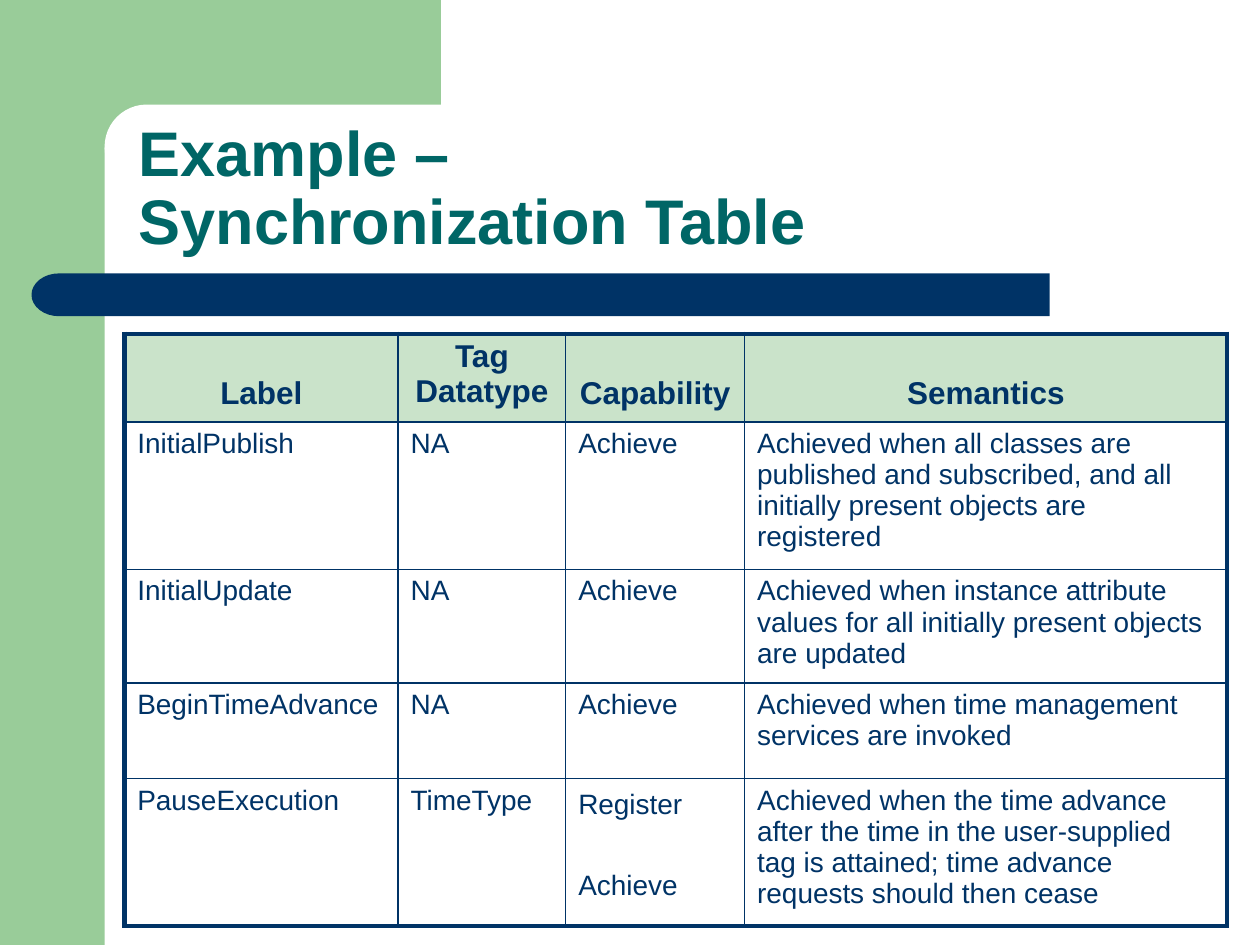
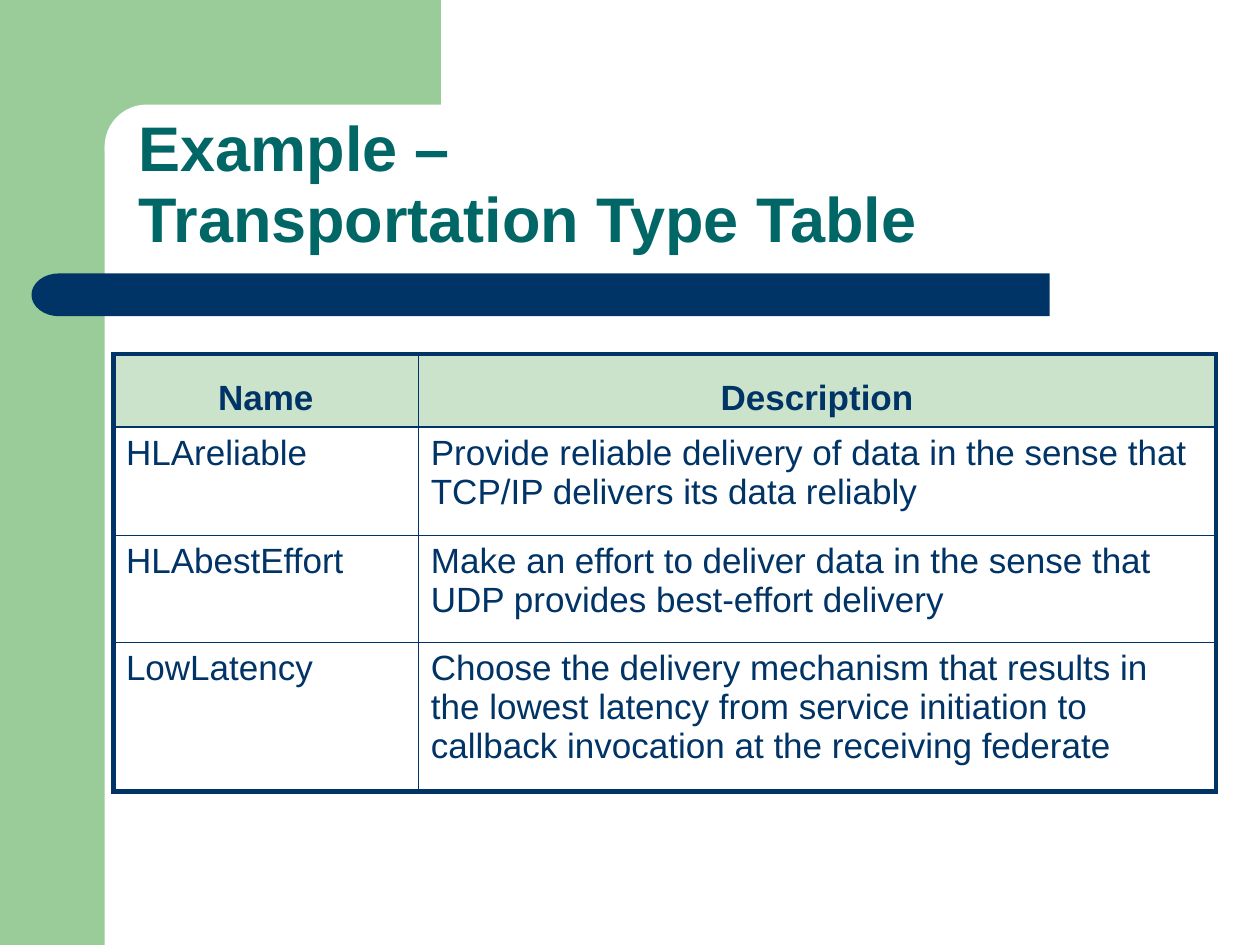
from dataclasses import dataclass
from math import cos, pi, sin

from lxml.etree import SubElement
from pptx import Presentation
from pptx.dml.color import RGBColor
from pptx.enum.shapes import MSO_SHAPE
from pptx.enum.text import MSO_ANCHOR, MSO_AUTO_SIZE, PP_ALIGN
from pptx.oxml.ns import qn
from pptx.util import Inches, Pt


@dataclass(frozen=True)
class Theme:
    font: str = "Arial"
    side: str = "99CC99"
    card: str = "FFFFFF"
    navy: str = "003366"
    title: str = "006666"
    header: str = "CAE3CA"
    title_size: float = 36
    outer_line: float = 3
    inner_line: float = 1


THEME = Theme()

SLIDES = [
    {
        "title": ["Example –", "Synchronization Table"],
        "title_width": 5.36, "title_inset": 0.08, "title_leading": 38.9,
        "at": (0.99, 2.65),
        "columns": [2.17, 1.33, 1.42, 3.83],
        "heights": [0.7, 1.17, 0.9, 0.76, 1.17],
        "header_size": 18, "body_size": 16,
        "header_insets": [0.33, 0.04, 0.33, 0.33],
        "rows": [
            ["Label", "Tag Datatype", "Capability", "Semantics"],
            ["InitialPublish", "NA", "Achieve",
             "Achieved when all classes are published and subscribed, "
             "and all initially present objects are registered"],
            ["InitialUpdate", "NA", "Achieve",
             "Achieved when instance attribute values for all initially "
             "present objects are updated"],
            ["BeginTimeAdvance", "NA", "Achieve",
             "Achieved when time management services are invoked"],
            ["PauseExecution", "TimeType", ["Register", "Achieve"],
             "Achieved when the time advance after the time in the "
             "user-supplied tag is attained; time advance requests "
             "should then cease"],
        ],
    },
    {
        "title": ["Example –", "Transportation Type Table"],
        "title_width": 6.3, "title_inset": 0.01, "title_leading": 41,
        "at": (0.9, 2.81),
        "columns": [2.42, 6.33],
        "heights": [0.58, 0.86, 0.85, 1.18],
        "header_size": 20, "body_size": 20,
        "header_insets": [0.2, 0.2],
        "rows": [
            ["Name", "Description"],
            ["HLAreliable",
             "Provide reliable delivery of data in the sense that "
             "TCP/IP delivers its data reliably"],
            ["HLAbestEffort",
             "Make an effort to deliver data in the sense that "
             "UDP provides best-effort delivery"],
            ["LowLatency",
             "Choose the delivery mechanism that results in the lowest "
             "latency from service initiation to callback invocation "
             "at the receiving federate"],
        ],
    },
]

SIDE_OUTLINE = [(0, 0), (3.5, 0), (3.5, 1.17), (0.83, 1.17), (0.83, 7.5), (0, 7.5)]
CARD = (0.83, 0.83, 5.58, 0.67)
BAND_TOP, BAND_BOTTOM, BAND_RIGHT = 2.17, 2.51, 8.33
CAP_CENTER, CAP_WIDTH, CAP_STEPS = 0.47, 0.22, 16
LIST_LEADING = 23.2


def band_outline():
    middle, half = (BAND_TOP + BAND_BOTTOM) / 2, (BAND_BOTTOM - BAND_TOP) / 2
    angles = [pi * step / CAP_STEPS for step in range(CAP_STEPS + 1)]
    cap = [(CAP_CENTER - CAP_WIDTH * sin(a), middle + half * cos(a)) for a in angles]
    return cap + [(BAND_RIGHT, BAND_TOP), (BAND_RIGHT, BAND_BOTTOM)]


def paint(shape, color):
    shape.shadow.inherit = False
    shape.fill.solid()
    shape.fill.fore_color.rgb = RGBColor.from_string(color)
    shape.line.fill.background()
    return shape


def add_outline(slide, points, color):
    corners = [(Inches(x), Inches(y)) for x, y in points]
    builder = slide.shapes.build_freeform(*corners[0])
    builder.add_line_segments(corners[1:], close=True)
    return paint(builder.convert_to_shape(), color)


def decorate_layout(layout, slide):
    for placeholder in list(layout.placeholders)[1:]:
        layout.shapes.element.remove(placeholder.element)
    side = add_outline(slide, SIDE_OUTLINE, THEME.side)
    card = slide.shapes.add_shape(MSO_SHAPE.ROUNDED_RECTANGLE, *map(Inches, CARD))
    card.adjustments[0] = 0.5
    paint(card, THEME.card)
    band = add_outline(slide, band_outline(), THEME.navy)
    for position, part in enumerate((side, card, band), start=2):
        layout.shapes.element.insert(position, part.element)


def add_text(paragraph, text, size, color, bold):
    run = paragraph.add_run()
    run.text = text
    run.font.name = THEME.font
    run.font.size = Pt(size)
    run.font.bold = bold
    run.font.color.rgb = RGBColor.from_string(color)


def paragraphs(frame, count):
    return [frame.paragraphs[0]] + [frame.add_paragraph() for _ in range(count - 1)]


def set_title(title, content):
    title.left, title.top = Inches(1.1), Inches(0.88)
    title.width, title.height = Inches(content["title_width"]), Inches(1.17)
    frame = title.text_frame
    frame.auto_size = MSO_AUTO_SIZE.NONE
    frame.word_wrap = True
    frame.vertical_anchor = MSO_ANCHOR.TOP
    frame.margin_left = frame.margin_right = frame.margin_bottom = 0
    frame.margin_top = Inches(content["title_inset"])
    lines = content["title"]
    for paragraph, line in zip(paragraphs(frame, len(lines)), lines):
        paragraph.alignment = PP_ALIGN.LEFT
        paragraph.space_before = 0
        paragraph.line_spacing = Pt(content["title_leading"])
        add_text(paragraph, line, THEME.title_size, THEME.title, True)


def set_borders(cell, outer_sides):
    properties = cell._tc.get_or_add_tcPr()
    for side in "LRTB":
        width = THEME.outer_line if side in outer_sides else THEME.inner_line
        line = SubElement(properties, qn(f"a:ln{side}"), w=str(Pt(width)))
        fill = SubElement(line, qn("a:solidFill"))
        SubElement(fill, qn("a:srgbClr"), val=THEME.navy)


def fill_cell(cell, entry, size, is_header, top_inset, right_inset):
    cell.margin_left = 0 if is_header else Inches(0.1)
    cell.margin_right = Inches(right_inset)
    cell.margin_top, cell.margin_bottom = Inches(top_inset), 0
    if is_header:
        cell.fill.solid()
        cell.fill.fore_color.rgb = RGBColor.from_string(THEME.header)
    else:
        cell.fill.background()
    items = entry if isinstance(entry, list) else [entry]
    for index, paragraph in enumerate(paragraphs(cell.text_frame, len(items))):
        paragraph.alignment = PP_ALIGN.CENTER if is_header else PP_ALIGN.LEFT
        if len(items) > 1:
            paragraph.line_spacing = Pt(LIST_LEADING)
            paragraph.space_before = Pt(LIST_LEADING if index else 0)
        add_text(paragraph, items[index], size, THEME.navy, is_header)


def add_grid(slide, content):
    rows, columns, heights = content["rows"], content["columns"], content["heights"]
    last_row, last_column = len(rows) - 1, len(columns) - 1
    extent = (*content["at"], sum(columns), sum(heights))
    table = slide.shapes.add_table(len(rows), len(columns), *map(Inches, extent)).table
    table.first_row = table.horz_banding = False
    for column, width in zip(table.columns, columns):
        column.width = Inches(width)
    for row, height in zip(table.rows, heights):
        row.height = Inches(height)
    for r, entries in enumerate(rows):
        for c, entry in enumerate(entries):
            edges = {"L": c == 0, "R": c == last_column, "T": r == 0, "B": r == last_row}
            cell = table.cell(r, c)
            set_borders(cell, [side for side, outer in edges.items() if outer])
            is_header = r == 0
            size = content["header_size" if is_header else "body_size"]
            if is_header:
                top = content["header_insets"][c]
            else:
                top = 0.01 if isinstance(entry, list) else 0.05
            right = 0.18 if c == last_column and not is_header else 0
            fill_cell(cell, entry, size, is_header, top, right)


def main():
    deck = Presentation()
    deck.slide_width, deck.slide_height = Inches(10), Inches(7.5)
    title_only = deck.slide_layouts[5]
    for number, content in enumerate(SLIDES):
        slide = deck.slides.add_slide(title_only)
        if number == 0:
            decorate_layout(title_only, slide)
        set_title(slide.shapes.title, content)
        add_grid(slide, content)
    deck.save("out.pptx")


if __name__ == "__main__":
    main()
